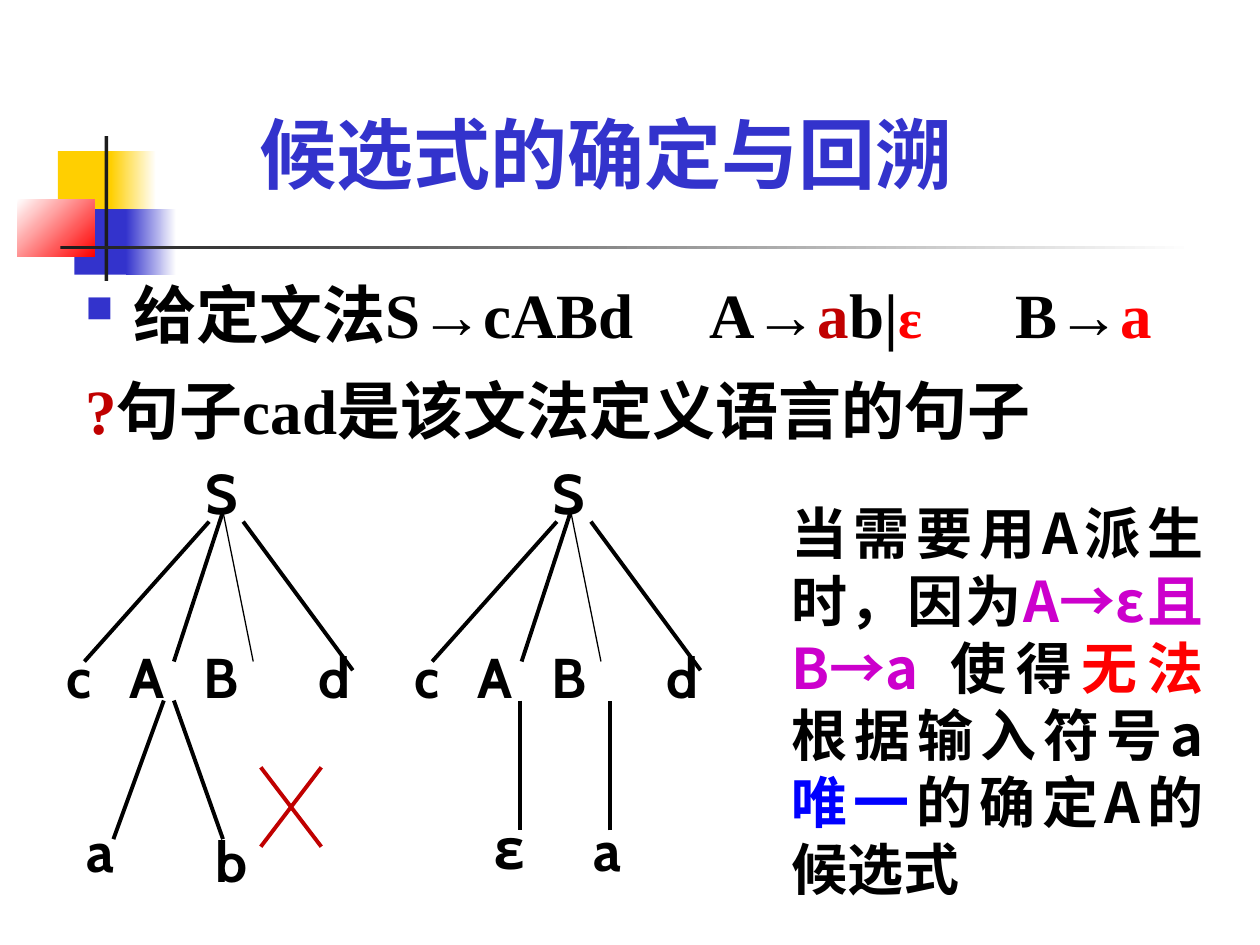
from lxml import etree
from pptx import Presentation
from pptx.dml.color import RGBColor
from pptx.enum.shapes import MSO_CONNECTOR, MSO_SHAPE
from pptx.enum.text import MSO_ANCHOR, MSO_AUTO_SIZE, PP_ALIGN
from pptx.oxml.ns import qn
from pptx.util import Inches, Pt

RECTANGLE = MSO_SHAPE.RECTANGLE
STRAIGHT = MSO_CONNECTOR.STRAIGHT
MIDDLE = MSO_ANCHOR.MIDDLE
NO_AUTOFIT = MSO_AUTO_SIZE.NONE
LEFT, JUSTIFY = PP_ALIGN.LEFT, PP_ALIGN.JUSTIFY

THEME = {
    "black": "000000", "white": "FFFFFF", "charcoal": "1C1C1C",
    "yellow": "FFCF01", "indigo": "3333CC", "red": "FF0000",
    "dark red": "C00000", "magenta": "CC00CC", "blue": "0000FF",
    "serif": "Times New Roman", "sans": "Cabin", "chinese": "Noto Sans CJK JP",
    "title": 44, "body": 36, "epsilon": 32, "label": 32,
    "thick": 2.25, "thin": 0.75,
}

TITLE = "候选式的确定与回溯"
GRAMMAR = [("给定文法S→cABd\tA→", "black"), ("a", "dark red"), ("b|", "black"),
           ("ε", "red", "epsilon"), ("\tB→", "black"), ("a", "red")]
QUESTION = [("?", "dark red"), ("句子cad是该文法定义语言的句子", "black")]
EXPLANATION = [("当需要用A派生时，因为", "black"), ("A→ε且B→a ", "magenta"),
               ("使得", "black"), ("无法", "red"), ("根据输入符号a", "black"),
               ("唯一", "blue"), ("的确定A的候选式", "black")]

DECORATION = [
    (0.46, 1.2, 0.48, 0.52, ["yellow"], 0),
    (0.88, 1.2, 0.36, 0.52, ["yellow", "white"], 0),
    (0.59, 1.66, 0.46, 0.52, ["indigo"], 0),
    (1, 1.66, 0.4, 0.52, ["indigo", "white"], 0),
    (0.14, 1.58, 0.61, 0.46, ["white", "red"], 315),
    (0.83, 1.08, 0.03, 1.15, ["charcoal"], 0),
    (0.48, 1.95, 9, 0.03, ["charcoal", "white"], 0),
]

TREE_LEFTS = [0.43, 3.19]
TREE_BRANCHES = [
    (1.23, 4.14, 0.24, 5.25, "thick"),
    (1.34, 4.06, 0.95, 5.25, "thick"),
    (1.5, 4.14, 2.37, 5.32, "thick"),
    (1.34, 4.06, 1.58, 5.25, "thin"),
]
TREE_CHILDREN = "c\tA\tB\td"
CHILD_STOPS = [0.5, 1.09, 2]
LEAF_BRANCHES = [
    (1.77, 6.66, 1.38, 5.56),
    (1.3, 5.56, 0.9, 6.66),
    (4.84, 6.59, 4.84, 5.56),
    (4.13, 5.56, 4.13, 6.59),
]
LEAVES = [("b", 1.61, 6.51, 0.48), ("a", 0.59, 6.43, 0.47),
          ("a", 4.61, 6.42, 0.47), ("ε", 3.82, 6.41, 0.65)]
CROSS = [(2.07, 6.09, 2.55, 6.72), (2.55, 6.09, 2.07, 6.72)]


def color(name):
    return RGBColor.from_string(THEME[name])


def add_block(slide, left, top, width, height, colors, angle):
    shape = slide.shapes.add_shape(
        RECTANGLE, Inches(left), Inches(top), Inches(width), Inches(height))
    shape.shadow.inherit = False
    shape.line.fill.background()
    if len(colors) == 1:
        shape.fill.solid()
        shape.fill.fore_color.rgb = color(colors[0])
    else:
        shape.fill.gradient()
        shape.fill.gradient_angle = angle
        for stop, name in zip(shape.fill.gradient_stops, colors):
            stop.color.rgb = color(name)


def add_line(slide, x1, y1, x2, y2, weight="thick", name="black"):
    connector = slide.shapes.add_connector(
        STRAIGHT, Inches(x1), Inches(y1), Inches(x2), Inches(y2))
    connector.line.color.rgb = color(name)
    connector.line.width = Pt(THEME[weight])
    etree.SubElement(connector._element.spPr, qn("a:effectLst"))


def add_text_box(slide, left, top, width, height, wrap=True):
    box = slide.shapes.add_textbox(
        Inches(left), Inches(top), Inches(width), Inches(height))
    box.text_frame.word_wrap = wrap
    return box.text_frame


def set_font(paragraph, face, size, name="black"):
    font = paragraph.font
    font.name, font.size, font.bold = THEME[face], Pt(THEME[size]), True
    font.color.rgb = color(name)


def add_runs(paragraph, runs):
    for text, name, *size in runs:
        run = paragraph.add_run()
        run.text = text
        run.font.color.rgb = color(name)
        if size:
            run.font.size = Pt(THEME[size[0]])


def set_tabs(paragraph, stops):
    tabs = etree.SubElement(paragraph._p.get_or_add_pPr(), qn("a:tabLst"))
    for stop in stops:
        etree.SubElement(tabs, qn("a:tab"), pos=str(Inches(stop)), algn="l")


def set_bullet(paragraph, character, name, percent):
    properties = paragraph._p.get_or_add_pPr()
    bullet_color = etree.SubElement(properties, qn("a:buClr"))
    etree.SubElement(bullet_color, qn("a:srgbClr"), val=THEME[name])
    etree.SubElement(properties, qn("a:buSzPct"), val=str(percent * 1000))
    etree.SubElement(properties, qn("a:buChar"), char=character)


def add_label(slide, text, left, top, width, wrap=False, stops=()):
    paragraph = add_text_box(slide, left, top, width, 0.63, wrap).paragraphs[0]
    if stops:
        set_tabs(paragraph, stops)
    set_font(paragraph, "sans", "label")
    paragraph.add_run().text = text


def add_title(slide):
    title = slide.shapes.title
    title.left, title.top = Inches(0.98), Inches(0.68)
    title.width, title.height = Inches(8.58), Inches(1.07)
    frame = title.text_frame
    frame.text = TITLE
    frame.auto_size = NO_AUTOFIT
    frame.vertical_anchor = MIDDLE
    frame.margin_left = Inches(1.08)
    frame.paragraphs[0].alignment = LEFT
    set_font(frame.paragraphs[0], "serif", "title", "indigo")


def add_body(slide):
    frame = add_text_box(slide, 0.58, 2.08, 9.25, 1.74)
    grammar, question = frame.paragraphs[0], frame.add_paragraph()
    for paragraph in (grammar, question):
        properties = paragraph._p.get_or_add_pPr()
        properties.set("marL", str(Inches(0.38)))
        properties.set("indent", str(Inches(-0.38)))
        paragraph.line_spacing = 1.1
        paragraph.space_before = Pt(7)
    set_bullet(grammar, "■", "indigo", 60)
    set_tabs(grammar, [4.95, 7.38])
    for paragraph, runs in ((grammar, GRAMMAR), (question, QUESTION)):
        set_font(paragraph, "serif", "body")
        add_runs(paragraph, runs)


def add_explanation(slide):
    paragraph = add_text_box(slide, 6.18, 3.91, 3.47, 3.33).paragraphs[0]
    paragraph.alignment = JUSTIFY
    paragraph.space_before = Pt(16)
    set_font(paragraph, "chinese", "label")
    add_runs(paragraph, EXPLANATION)


def main():
    presentation = Presentation()
    presentation.slide_width, presentation.slide_height = Inches(10), Inches(7.5)
    slide = presentation.slides.add_slide(presentation.slide_layouts[5])
    for block in DECORATION:
        add_block(slide, *block)
    add_title(slide)
    add_body(slide)
    for left in TREE_LEFTS:
        for x1, y1, x2, y2, weight in TREE_BRANCHES:
            add_line(slide, left + x1, y1, left + x2, y2, weight)
        add_label(slide, TREE_CHILDREN, left, 5.05, 2.68, True, CHILD_STOPS)
        add_label(slide, "S", left + 1.1, 3.59, 0.48)
    for branch in LEAF_BRANCHES:
        add_line(slide, *branch)
    for leaf in LEAVES:
        add_label(slide, *leaf)
    add_explanation(slide)
    for stroke in CROSS:
        add_line(slide, *stroke, name="dark red")
    presentation.save("out.pptx")


if __name__ == "__main__":
    main()
